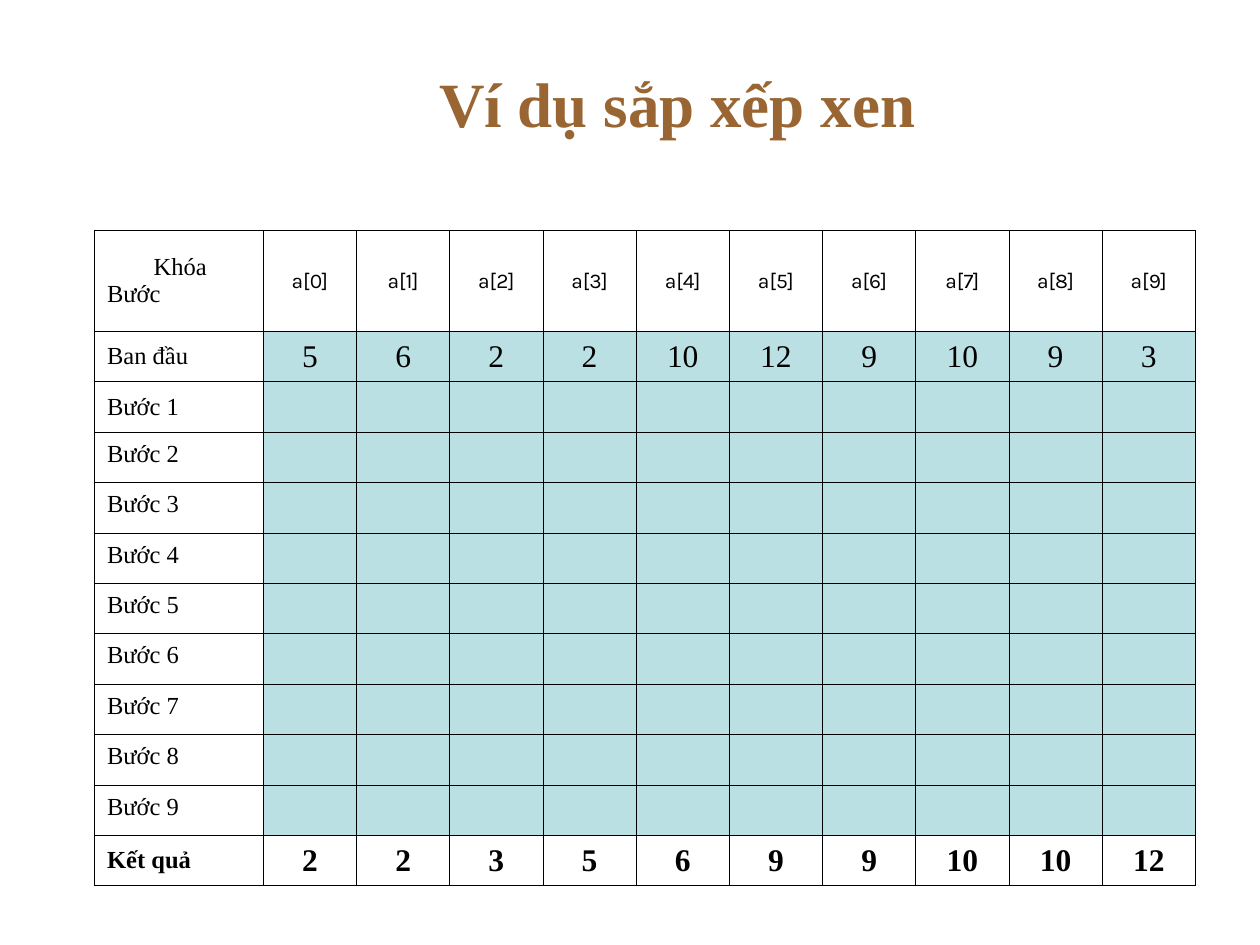
from dataclasses import dataclass

from lxml.etree import SubElement
from pptx import Presentation
from pptx.dml.color import RGBColor
from pptx.enum.text import MSO_VERTICAL_ANCHOR as Anchor, PP_PARAGRAPH_ALIGNMENT as Align
from pptx.oxml.ns import qn
from pptx.slide import Slide
from pptx.table import _Cell as Cell
from pptx.text.text import _Paragraph as Paragraph
from pptx.util import Inches, Pt

COLORS = {"title": "996633", "text": "000000", "border": "000000", "value": "BBE0E3"}
SERIF, SANS = "Times New Roman", "Karla"
KEY_COUNT, STEP_COUNT = 10, 9
LABEL_WIDTH, KEY_WIDTH = 1.34, 0.74
HEADER_HEIGHT, ROW_HEIGHT = 0.8, 0.4


@dataclass
class Row:
    label: str
    values: list[str]
    height: float = ROW_HEIGHT
    value_size: int = 18
    value_font: str = SERIF
    fill: str | None = None
    bold: bool = False
    spacing: float = 1.0


def write_text(para: Paragraph, text: str, *, size: int, font: str = SERIF,
               color: str = "text", bold: bool = False, align: Align = Align.CENTER,
               spacing: float = 1.0, indent: float = 0) -> None:
    if indent:
        para._p.get_or_add_pPr().set("marL", str(Inches(indent)))
    para.alignment = align
    para.line_spacing = spacing
    span = para.add_run()
    span.text = text
    span.font.size = Pt(size)
    span.font.name = font
    span.font.bold = bold
    span.font.color.rgb = RGBColor.from_string(COLORS[color])


def style_cell(cell: Cell, fill: str | None = None) -> None:
    properties = cell._tc.get_or_add_tcPr()
    for side in ("lnL", "lnR", "lnT", "lnB"):
        line = SubElement(properties, qn(f"a:{side}"), w=str(Pt(0.45)))
        solid = SubElement(line, qn("a:solidFill"))
        SubElement(solid, qn("a:srgbClr"), val=COLORS["border"])
    if fill:
        cell.fill.solid()
        cell.fill.fore_color.rgb = RGBColor.from_string(COLORS[fill])
    else:
        cell.fill.background()
    cell.vertical_anchor = Anchor.MIDDLE
    cell.margin_left = cell.margin_right = Inches(0.1)
    cell.margin_top = cell.margin_bottom = Inches(0.05 if fill is None else 0.04)


def add_title(page: Slide, text: str) -> None:
    box = page.shapes.add_textbox(Inches(1.25), Inches(0.3), Inches(8.25), Inches(1.03))
    frame = box.text_frame
    frame.word_wrap = True
    frame.vertical_anchor = Anchor.MIDDLE
    write_text(frame.paragraphs[0], text, size=36, color="title", bold=True)


def add_sorting_table(page: Slide, rows: list[Row]) -> None:
    width = LABEL_WIDTH + KEY_COUNT * KEY_WIDTH
    height = sum(row.height for row in rows)
    table = page.shapes.add_table(len(rows), KEY_COUNT + 1, Inches(0.75), Inches(1.83),
                                  Inches(width), Inches(height)).table
    table.first_row = table.horz_banding = False
    for index, column in enumerate(table.columns):
        column.width = Inches(KEY_WIDTH if index else LABEL_WIDTH)

    for number, row in enumerate(rows):
        table.rows[number].height = Inches(row.height)
        label_cell = table.cell(number, 0)
        style_cell(label_cell)
        para = label_cell.text_frame.paragraphs[0]
        if number == 0:
            write_text(para, "Khóa", size=14, align=Align.JUSTIFY, indent=0.37)
            para = label_cell.text_frame.add_paragraph()
        write_text(para, row.label, size=14, bold=row.bold,
                   align=Align.JUSTIFY, spacing=row.spacing)
        for index in range(KEY_COUNT):
            cell = table.cell(number, index + 1)
            style_cell(cell, row.fill)
            if row.values:
                write_text(cell.text_frame.paragraphs[0], row.values[index],
                           size=row.value_size, font=row.value_font, bold=row.bold)


def main() -> None:
    deck = Presentation()
    deck.slide_width, deck.slide_height = Inches(10), Inches(7.5)
    page = deck.slides.add_slide(deck.slide_layouts[6])
    keys = [5, 6, 2, 2, 10, 12, 9, 10, 9, 3]
    header = Row("Bước", [f"a[{index}]" for index in range(KEY_COUNT)],
                 height=HEADER_HEIGHT, value_size=12, value_font=SANS)
    initial = Row("Ban đầu", [str(key) for key in keys], fill="value")
    steps = [Row(f"Bước {step}", [], fill="value", spacing=1.0 if step == 1 else 0.6)
             for step in range(1, STEP_COUNT + 1)]
    result = Row("Kết quả", [str(key) for key in sorted(keys)], bold=True)

    add_title(page, "Ví dụ sắp xếp xen")
    add_sorting_table(page, [header, initial, *steps, result])
    deck.save("out.pptx")


if __name__ == "__main__":
    main()
